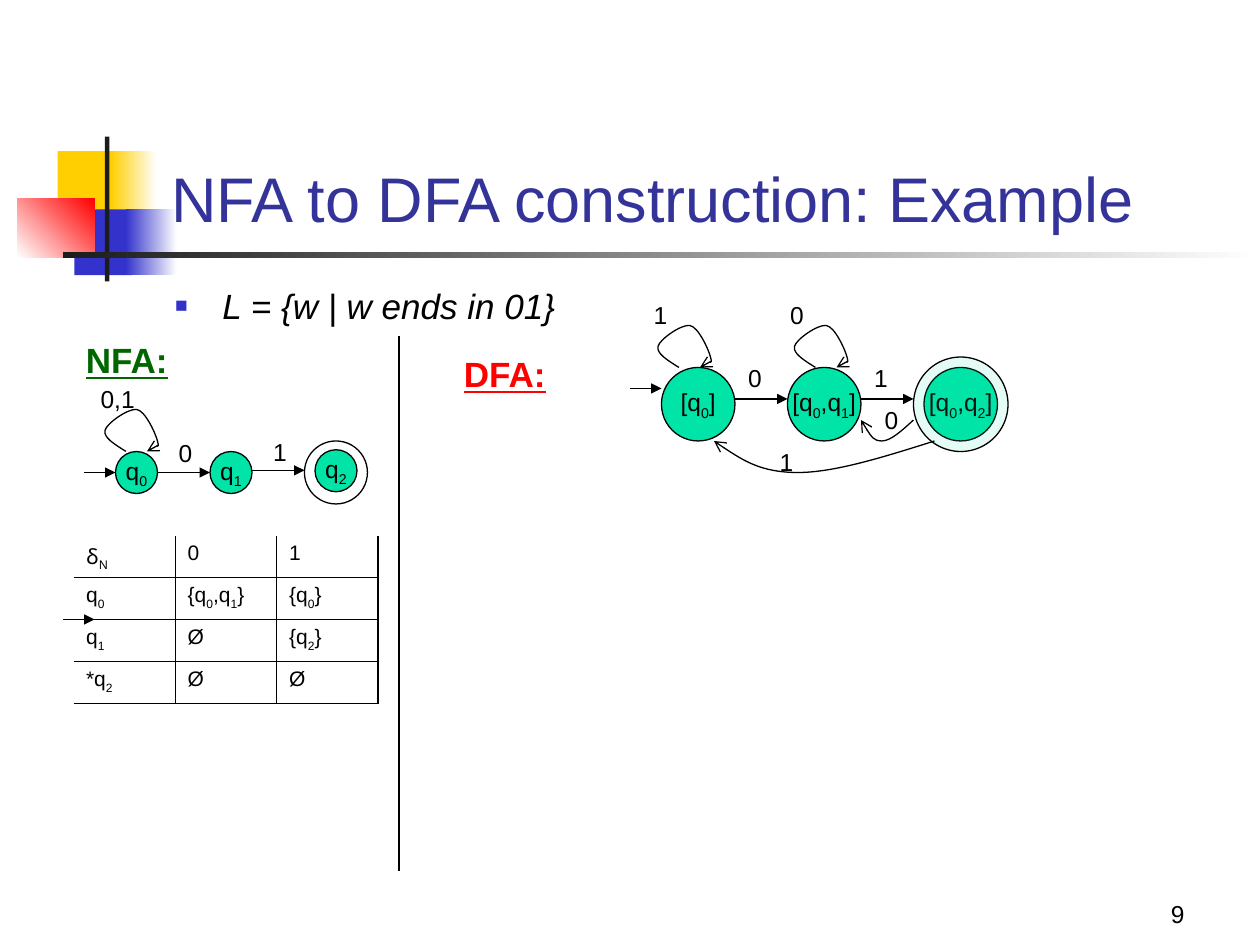
from dataclasses import dataclass
from typing import Optional, Union

from lxml import etree
from pptx import Presentation
from pptx import util as u
from pptx.dml.color import RGBColor
from pptx.enum import shapes, text
from pptx.oxml.ns import qn
from pptx.shapes import shapetree as st

Pt = u.Pt
Shapes = Union[st.SlideShapes, st.GroupShapes]

BLACK = RGBColor(0, 0, 0)
WHITE = RGBColor(255, 255, 255)
CHARCOAL = RGBColor(0x1C, 0x1C, 0x1C)
YELLOW = RGBColor(0xFF, 0xCF, 0x01)
BLUE = RGBColor(0x33, 0x33, 0xCC)
NAVY = RGBColor(0x33, 0x33, 0x99)
RED = RGBColor(255, 0, 0)
GREEN = RGBColor(0, 0x66, 0)
MINT = RGBColor(0, 0xE4, 0xA8)

LINE_WIDTH = 0.75
LOOP = [(-6.5, -4), (-13, -8), (-12, -12), (-11, -16), (1, -24.5), (6, -24),
        (11, -23.5), (17, -10), (18, -6), (19, -2), (15.5, -1), (12, 0)]


@dataclass
class Block:
    x: float
    y: float
    w: float
    h: float
    start: RGBColor
    end: Optional[RGBColor] = None
    angle: float = 0


@dataclass
class State:
    x: float
    y: float
    size: float
    name: str = ""
    fill: Optional[RGBColor] = MINT
    alpha: int = 100


@dataclass
class Arrow:
    x1: float
    x2: float
    y: float


@dataclass
class Curve:
    x: float
    y: float
    points: list  # Bezier control points relative to (x, y)


@dataclass
class Label:
    value: str
    x: float
    y: float
    w: float = 22
    h: float = 24.5
    size: float = 14
    color: RGBColor = BLACK
    heading: bool = False


@dataclass
class Automaton:
    states: list
    arrows: list
    curves: list
    labels: list


def write(p, value: str, size: float, color=BLACK, face="Arial") -> None:
    """Add runs to a paragraph; the character after each "_" is a subscript."""
    first, *rest = value.split("_")
    pieces = [(first, False)]
    for part in rest:
        pieces += [(part[0], True), (part[1:], False)]
    for piece, subscript in pieces:
        if not piece:
            continue
        r = p.add_run()
        r.text = piece
        r.font.size, r.font.name, r.font.color.rgb = Pt(size), face, color
        if subscript:
            r._r.get_or_add_rPr().set("baseline", "-25000")


def style_line(sp, head: Optional[str] = None) -> None:
    sp.line.color.rgb = BLACK
    sp.line.width = Pt(LINE_WIDTH)
    if head:
        etree.SubElement(sp.line._get_or_add_ln(), qn("a:tailEnd"), type=head)


def draw_block(parent: Shapes, b: Block) -> None:
    sp = parent.add_shape(shapes.MSO_SHAPE.RECTANGLE, Pt(b.x), Pt(b.y), Pt(b.w), Pt(b.h))
    sp.shadow.inherit = False
    sp.line.fill.background()
    if b.end is None:
        sp.fill.solid()
        sp.fill.fore_color.rgb = b.start
        return
    sp.fill.gradient()
    sp.fill.gradient_angle = b.angle
    for stop, color in zip(sp.fill.gradient_stops, (b.start, b.end)):
        stop.color.rgb = color


def draw_state(parent: Shapes, q: State) -> None:
    sp = parent.add_shape(shapes.MSO_SHAPE.OVAL, Pt(q.x), Pt(q.y), Pt(q.size), Pt(q.size))
    sp.shadow.inherit = False
    if q.fill is None:
        sp.fill.background()
    else:
        sp.fill.solid()
        sp.fill.fore_color.rgb = q.fill
        if q.alpha < 100:
            color = sp._element.spPr.find(".//" + qn("a:srgbClr"))
            etree.SubElement(color, qn("a:alpha"), val=str(q.alpha * 1000))
    style_line(sp)
    if q.name:
        tf = sp.text_frame
        tf.word_wrap = False
        tf.vertical_anchor = text.MSO_ANCHOR.MIDDLE
        tf.paragraphs[0].alignment = text.PP_ALIGN.CENTER
        write(tf.paragraphs[0], q.name, 14)


def draw_line(parent: Shapes, x1: float, y1: float, x2: float, y2: float,
              head: Optional[str] = None) -> None:
    sp = parent.add_connector(shapes.MSO_CONNECTOR.STRAIGHT, Pt(x1), Pt(y1), Pt(x2), Pt(y2))
    style_line(sp, head)
    etree.SubElement(sp._element.spPr, qn("a:effectLst"))


def draw_curve(parent: Shapes, c: Curve) -> None:
    builder = parent.build_freeform(Pt(c.x), Pt(c.y))
    builder.add_line_segments([(Pt(c.x + dx), Pt(c.y + dy)) for dx, dy in c.points], close=False)
    sp = builder.convert_to_shape()
    # Turn every three straight segments into one cubic Bezier
    outline = sp._element.find(".//" + qn("a:path"))
    nodes = outline.findall(qn("a:lnTo"))
    for i in range(0, len(nodes), 3):
        bezier = etree.SubElement(outline, qn("a:cubicBezTo"))
        for node in nodes[i:i + 3]:
            bezier.append(node[0])
            outline.remove(node)
    sp.shadow.inherit = False
    sp.fill.background()
    style_line(sp, "arrow")


def draw_label(parent: Shapes, item: Label, wrap: bool = False):
    sp = parent.add_textbox(Pt(item.x), Pt(item.y), Pt(item.w), Pt(item.h))
    tf = sp.text_frame
    tf.word_wrap = wrap
    p = tf.paragraphs[0]
    write(p, item.value.replace("_", "_"), item.size, item.color)
    if item.heading:
        p.runs[0].font.bold = p.runs[0].font.underline = True
    return tf


def draw_automaton(parent: Shapes, a: Automaton) -> None:
    for q in a.states:
        draw_state(parent, q)
    for arrow in a.arrows:
        draw_line(parent, arrow.x1, arrow.y, arrow.x2, arrow.y, "triangle")
    for curve in a.curves:
        draw_curve(parent, curve)
    for item in a.labels:
        draw_label(parent, item)


def set_border(cell, side: str, width: float) -> None:
    ln = etree.SubElement(cell._tc.get_or_add_tcPr(), qn("a:ln" + side), w=str(Pt(width)))
    if width:
        fill = etree.SubElement(ln, qn("a:solidFill"))
        etree.SubElement(fill, qn("a:srgbClr"), val=str(BLACK))
    else:
        etree.SubElement(ln, qn("a:noFill"))


def draw_table(parent: Shapes, rows: list, x: float, y: float, col_w: float, row_h: float) -> None:
    n, m = len(rows), len(rows[0])
    table = parent.add_table(n, m, Pt(x), Pt(y), Pt(col_w * m), Pt(row_h * n)).table
    table.first_row = table.horz_banding = False
    for i, row in enumerate(rows):
        table.rows[i].height = Pt(row_h)
        for j, value in enumerate(row):
            cell = table.cell(i, j)
            write(cell.text_frame.paragraphs[0], value, 12,
                  face="Noto Sans" if "δ" in value else "Arial")
            set_border(cell, "L", 0.45 if j else 0)
            set_border(cell, "R", 1.08 if j == m - 1 else 0.45)
            set_border(cell, "T", 0.45 if i else 0)
            set_border(cell, "B", 1.08 if i == n - 1 else 0.45)
            cell.fill.background()


BLOCKS = [
    Block(33, 86.4, 34.5, 37.5, YELLOW), Block(63.5, 86.4, 26, 37.5, YELLOW, WHITE),
    Block(42.5, 119.7, 33, 37.5, BLUE), Block(72, 119.7, 29, 37.5, BLUE, WHITE),
    Block(10, 113.7, 44, 33.2, WHITE, RED, 45), Block(60, 78, 2.5, 82.8, CHARCOAL),
    Block(36, 144, 684, 3.5, CHARCOAL, WHITE),
]
NFA = Automaton(
    [State(66, 258, 24, "q_0"), State(120, 258, 24, "q_1"), State(180, 257, 24, "q_2"),
     State(174, 252, 36, fill=None)],
    [Arrow(48, 66, 270), Arrow(90, 120, 270), Arrow(144, 174, 268.8)],
    [Curve(72, 258, LOOP)],
    [Label("0", 95, 247), Label("0,1", 50.4, 216, 34), Label("1", 149, 246)])
DFA = Automaton(
    [State(378, 210, 42, "[q_0]"), State(450, 210, 42, "[q_0,q_1]"),
     State(528, 210, 42, "[q_0,q_2]"), State(522, 204, 54, alpha=10)],
    [Arrow(360, 378, 222), Arrow(420, 450, 228), Arrow(492, 522, 228)],
    [Curve(388, 210, LOOP), Curve(466, 210, LOOP),
     Curve(522, 240, [(-6.5, 6), (-13, 12), (-18, 12), (-23, 12), (-26.5, 6), (-30, 0)]),
     Curve(534, 252, [(-28.5, 9), (-57, 18), (-78, 18), (-99, 18), (-113, 9), (-126, 0)])],
    [Label("1", 366.5, 168), Label("0", 420.5, 204), Label("1", 492.5, 204),
     Label("0", 444.5, 168), Label("0", 498.5, 228), Label("1", 438.5, 252)])
TRANSITIONS = [["δ_N", "0", "1"], ["q_0", "{q_0,q_1}", "{q_0}"],
               ["q_1", "Ø", "{q_2}"], ["*q_2", "Ø", "Ø"]]


def main() -> None:
    prs = Presentation()
    prs.slide_width, prs.slide_height = Pt(720), Pt(540)
    s = prs.slides.add_slide(prs.slide_layouts[6])

    # Decoration, page number and title
    for block in BLOCKS:
        draw_block(s.shapes, block)
    tf = draw_label(s.shapes, Label("9", 534, 498, 150, 36), wrap=True)
    tf.vertical_anchor = text.MSO_ANCHOR.BOTTOM
    tf.paragraphs[0].alignment = text.PP_ALIGN.RIGHT
    title = Label("NFA to DFA construction: Example", 90.7, 48, 613.5, 90, 36, NAVY)
    draw_label(s.shapes, title, wrap=True).vertical_anchor = text.MSO_ANCHOR.BOTTOM

    # Language definition with a square bullet
    tf = draw_label(s.shapes, Label("L = {w | w ends in 01}", 93, 159, 612, 324, 20), wrap=True)
    p = tf.paragraphs[0]
    p.runs[0].font.italic = True
    pPr = p._p.get_or_add_pPr()
    pPr.set("marL", str(Pt(27)))
    pPr.set("indent", str(Pt(-27)))
    etree.SubElement(etree.SubElement(pPr, qn("a:buClr")), qn("a:srgbClr"), val=str(BLUE))
    etree.SubElement(pPr, qn("a:buSzPct"), val="60000")
    etree.SubElement(pPr, qn("a:buFont"), typeface="Arial")
    etree.SubElement(pPr, qn("a:buChar"), char="■")

    # NFA with its transition table
    draw_automaton(s.shapes, NFA)
    draw_label(s.shapes, Label("NFA:", 42, 190, 62, 31.5, 20, GREEN, True))
    draw_table(s.shapes, TRANSITIONS, 42, 306, 58, 24)
    draw_line(s.shapes, 228, 192, 228, 498)
    draw_line(s.shapes, 36, 354, 54, 354, "triangle")

    # DFA
    draw_label(s.shapes, Label("DFA:", 258, 198, 62, 31.5, 20, RED, True))
    draw_automaton(s.shapes.add_group_shape().shapes, DFA)

    prs.save("out.pptx")


if __name__ == "__main__":
    main()
